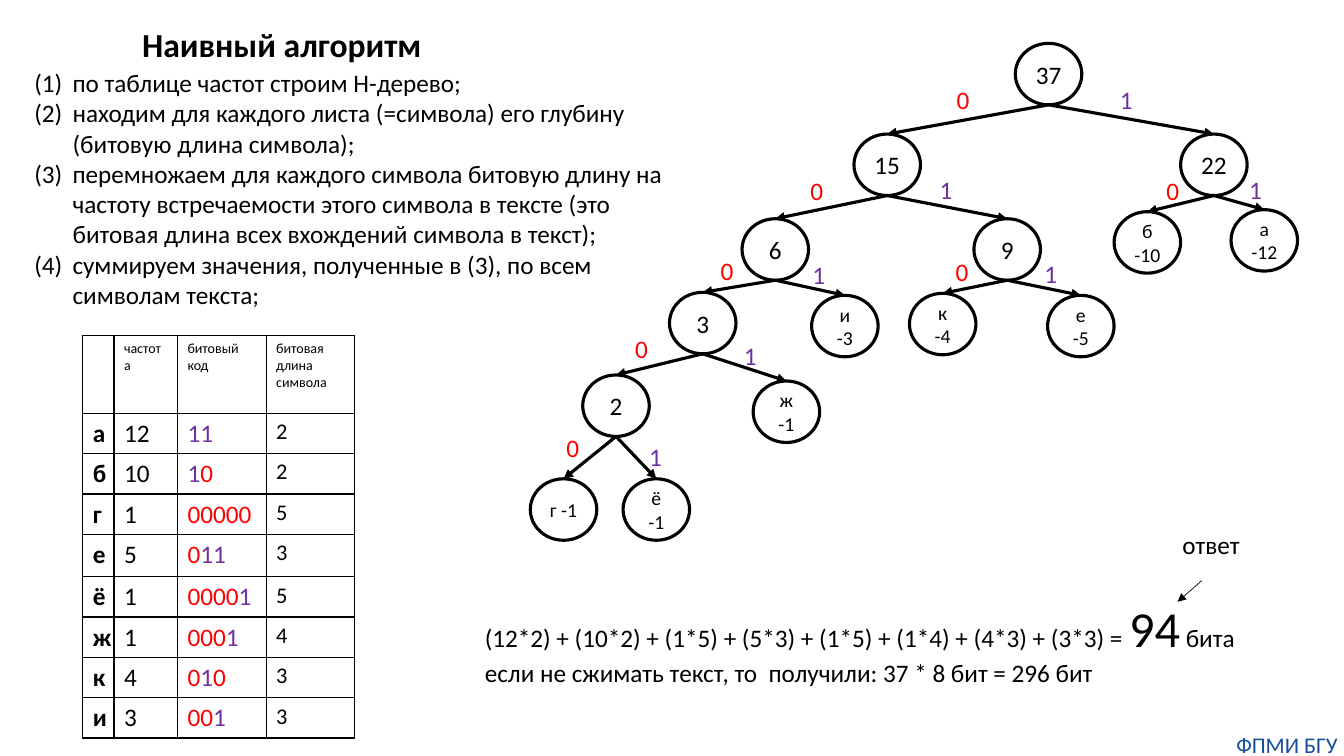
from itertools import groupby

from lxml import etree
from pptx import Presentation
from pptx.dml.color import RGBColor
from pptx.enum.shapes import MSO_CONNECTOR, MSO_SHAPE
from pptx.enum.text import MSO_ANCHOR, MSO_AUTO_SIZE, PP_ALIGN
from pptx.oxml.ns import qn
from pptx.util import Inches, Pt

STRAIGHT, OVAL = MSO_CONNECTOR.STRAIGHT, MSO_SHAPE.OVAL
TOP, MIDDLE = MSO_ANCHOR.TOP, MSO_ANCHOR.MIDDLE
LEFT, CENTER = PP_ALIGN.LEFT, PP_ALIGN.CENTER
GROW = MSO_AUTO_SIZE.SHAPE_TO_FIT_TEXT

FONT = "Calibri"
COLORS = {"text": "000000", "0": "FF0000", "1": "7030A0", "footer": "144E9D"}

STEPS = [
    "по таблице частот строим H-дерево;",
    "находим для каждого листа (=символа) его глубину (битовую длина символа);",
    "перемножаем для каждого символа битовую длину на частоту встречаемости этого "
    "символа в тексте (это битовая длина всех вхождений символа в текст);",
    "суммируем значения, полученные в (3), по всем символам текста;",
]

# Bit code: node text, node offset, offset of the bit on the edge above
NODE_WIDTH, NODE_HEIGHT = 0.66, 0.61
TREE = {
    "": ("37", (4.81, 0), None),
    "0": ("15", (3.21, 0.9), (4.13, 0.36)),
    "1": ("22", (6.45, 0.9), (5.75, 0.36)),
    "00": ("6", (2.1, 1.74), (2.68, 1.26)),
    "01": ("9", (4.4, 1.74), (3.96, 1.25)),
    "10": ("б -10", (5.79, 1.67), (6.21, 1.26)),
    "11": ("a -12", (6.95, 1.65), (7.03, 1.25)),
    "000": ("3", (1.38, 2.47), (1.79, 2.05)),
    "001": ("и -3", (2.79, 2.5), (2.7, 2.09)),
    "010": ("к -4", (3.76, 2.48), (4.12, 2.06)),
    "011": ("е -5", (5.13, 2.5), (5, 2.08)),
    "0000": ("2", (0.52, 3.29), (0.94, 2.83)),
    "0001": ("ж -1", (2.21, 3.35), (2.02, 2.9)),
    "00000": ("г -1", (0, 4.32), (0.26, 3.81)),
    "00001": ("ё -1", (0.92, 4.32), (1.08, 3.9)),
}

HEADERS = [[], ["частота"], ["битовый", "код"], ["битовая длина символа"]]
SYMBOLS = [("а", 12, "11"), ("б", 10, "10"), ("г", 1, "00000"), ("е", 5, "011"),
           ("ё", 1, "00001"), ("ж", 1, "0001"), ("к", 4, "010"), ("и", 3, "001")]
COLUMN_WIDTHS = [0.31, 0.63, 0.88, 0.88]
ROW_HEIGHTS = [0.77, 0.4, 0.4, 0.4, 0.42, 0.4, 0.4, 0.4, 0.4]


def color(name):
    return RGBColor.from_string(COLORS[name])


def add_span(para, text, size=18, color_name="text", bold=False):
    span = para.add_run()
    span.text = text
    for key, value in {"name": FONT, "size": Pt(size), "bold": bold}.items():
        setattr(span.font, key, value)
    span.font.color.rgb = color(color_name)


def place(shape, box):
    for key, value in zip(("left", "top", "width", "height"), box):
        setattr(shape, key, Inches(value))


def format_frame(frame, **formats):
    settings = {"word_wrap": True, "auto_size": GROW, "vertical_anchor": TOP}
    for key, value in (settings | formats).items():
        setattr(frame, key, value)


def add_text(page, box, text, wrap=True, **formats):
    shape = page.shapes.add_textbox(*map(Inches, box))
    format_frame(shape.text_frame, word_wrap=wrap)
    add_span(shape.text_frame.paragraphs[0], text, **formats)
    return shape


def add_arrow(page, start, end, width):
    arrow = page.shapes.add_connector(STRAIGHT, *map(Inches, (*start, *end)))
    arrow.line.color.rgb = color("text")
    arrow.line.width = Pt(width)
    etree.SubElement(arrow.line._get_or_add_ln(), qn("a:tailEnd"), type="triangle")
    etree.SubElement(arrow._element.spPr, qn("a:effectLst"))
    return arrow


def fill_title(page, box):
    title = page.shapes.title
    place(title, box)
    format_frame(title.text_frame, word_wrap=False)
    para = title.text_frame.paragraphs[0]
    para.alignment = LEFT
    add_span(para, "Наивный алгоритм", 24, bold=True)


def fill_steps(page, box):
    body = page.placeholders[1]
    place(body, box)
    frame = body.text_frame
    format_frame(frame)
    for index, step in enumerate(STEPS):
        para = frame.add_paragraph() if index else frame.paragraphs[0]
        properties = para._p.get_or_add_pPr()
        indent = Inches(0.38)
        properties.set("marL", str(indent))
        properties.set("indent", str(-indent))
        etree.SubElement(properties, qn("a:buFont"), typeface="+mj-lt")
        etree.SubElement(properties, qn("a:buAutoNum"), type="arabicParenBoth")
        para.space_before = Pt(0)
        add_span(para, step)


def add_tree(page, box):
    left, top = box
    nodes = {}
    # Nodes
    for code, (text, (x, y), _) in TREE.items():
        node = page.shapes.add_shape(
            OVAL, *map(Inches, (left + x, top + y, NODE_WIDTH, NODE_HEIGHT)))
        node.shadow.inherit = False
        node.fill.background()
        node.line.color.rgb = color("text")
        node.line.width = Pt(2.25)
        format_frame(node.text_frame, auto_size=MSO_AUTO_SIZE.NONE, vertical_anchor=MIDDLE)
        para = node.text_frame.paragraphs[0]
        para.alignment = CENTER
        add_span(para, text, 14 if " " in text else 18)
        nodes[code] = node
    # Edges from each parent, with their bits
    for code, (_, (x, y), bit_offset) in TREE.items():
        if not code:
            continue
        parent_x, parent_y = TREE[code[:-1]][1]
        start = (left + parent_x + NODE_WIDTH / 2, top + parent_y + NODE_HEIGHT)
        end = (left + x + NODE_WIDTH / 2, top + y)
        add_arrow(page, start, end, 2.25).end_connect(nodes[code], 0)
        bit_box = (left + bit_offset[0], top + bit_offset[1], 0.33, 0.4)
        add_text(page, bit_box, code[-1], wrap=False, color_name=code[-1])


def style_cell(cell):
    cell.fill.background()
    properties = cell._tc.get_or_add_tcPr()
    for index, side in enumerate(("lnL", "lnR", "lnT", "lnB")):
        line = etree.Element(qn("a:" + side), w=str(Pt(1)))
        fill = etree.SubElement(line, qn("a:solidFill"))
        etree.SubElement(fill, qn("a:srgbClr"), val=COLORS["text"])
        properties.insert(index, line)


def add_codes_table(page, box):
    size = (sum(COLUMN_WIDTHS), sum(ROW_HEIGHTS))
    table = page.shapes.add_table(
        len(ROW_HEIGHTS), len(COLUMN_WIDTHS), *map(Inches, (*box, *size))).table
    table.first_row = table.horz_banding = False
    for column, width in zip(table.columns, COLUMN_WIDTHS):
        column.width = Inches(width)
    for row, height in zip(table.rows, ROW_HEIGHTS):
        row.height = Inches(height)
    for cell in table.iter_cells():
        style_cell(cell)
    for column, lines in enumerate(HEADERS):
        frame = table.cell(0, column).text_frame
        for index, line in enumerate(lines):
            add_span(frame.add_paragraph() if index else frame.paragraphs[0], line, 10)
    for row, (symbol, count, code) in enumerate(SYMBOLS, 1):
        paras = [cell.text_frame.paragraphs[0] for cell in table.rows[row].cells]
        add_span(paras[0], symbol, bold=True)
        add_span(paras[1], str(count))
        for bit, group in groupby(code):
            add_span(paras[2], "".join(group), color_name=bit)
        add_span(paras[3], str(len(code)), 16)


def add_answer(page, box):
    left, top, width, height = box
    terms = "(12*2) + (10*2) + (1*5) + (5*3) + (1*5) + (1*4) + (4*3) + (3*3) = "
    frame = add_text(page, box, terms).text_frame
    add_span(frame.paragraphs[0], "94", 36)
    add_span(frame.paragraphs[0], " бита")
    add_span(frame.add_paragraph(), "если не сжимать текст, то  получили: 37 * 8 бит = 296 бит")
    add_text(page, (left + 6.92, top - 0.67, 1.56, 0.4), "ответ")
    add_arrow(page, (left + 7.21, top - 0.11), (left + 6.97, top + 0.1), 0.5)


def add_footer(page, box):
    frame = add_text(page, box, "ФПМИ БГУ", size=16, color_name="footer", wrap=False).text_frame
    for side in ("left", "top", "right", "bottom"):
        setattr(frame, "margin_" + side, 0)
    frame.paragraphs[0].alignment = CENTER


def main():
    deck = Presentation()
    deck.slide_width, deck.slide_height = Inches(13.33), Inches(7.5)
    page = deck.slides.add_slide(deck.slide_layouts[1])
    add_footer(page, (12.2, 7.25, 1.13, 0.27))
    add_tree(page, (5.26, 0.43))
    fill_steps(page, (0.24, 0.62, 6.62, 2.52))
    add_codes_table(page, (0.82, 3.33))
    add_answer(page, (4.71, 5.87, 8.16, 1.01))
    fill_title(page, (1.31, 0.19, 3, 0.5))
    deck.save("out.pptx")


if __name__ == "__main__":
    main()
